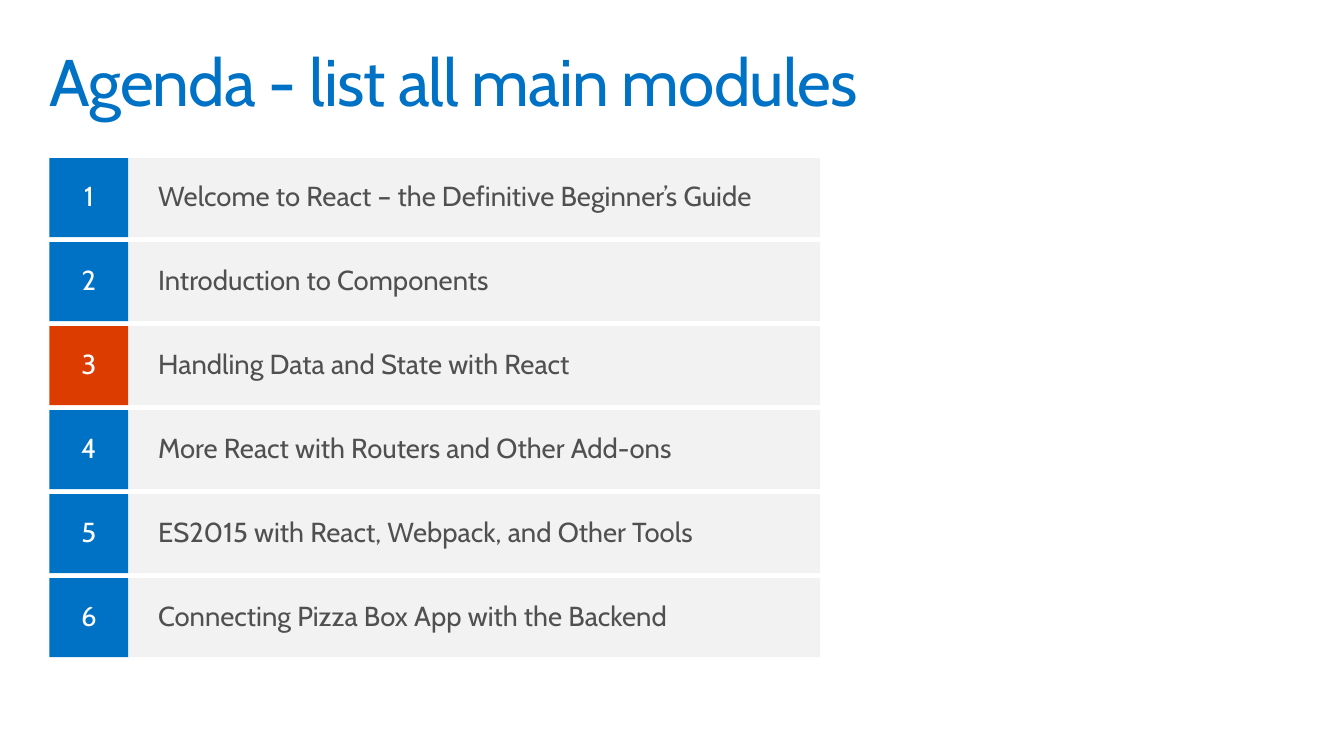
from dataclasses import dataclass

from pptx import Presentation
from pptx import util as u
from pptx.dml.color import RGBColor
from pptx.enum import shapes, text


@dataclass(frozen=True)
class Theme:
    font: str = "Cabin"
    title_size: int = 48
    row_size: int = 20
    blue: str = "0072C6"
    orange: str = "DC3C00"
    band: str = "F2F2F2"
    white: str = "FFFFFF"
    gray: str = "505050"


THEME = Theme()
TITLE = "Agenda - list all main modules"
MODULES = [
    "Welcome to React – the Definitive Beginner’s Guide",
    "Introduction to Components",
    "Handling Data and State with React",
    "More React with Routers and Other Add-ons",
    "ES2015 with React, Webpack, and Other Tools",
    "Connecting Pizza Box App with the Backend",
]
CURRENT_MODULE = 3
ROW_HEIGHT = 0.8
ROW_GAP = 0.05


def write(shape, words, size, color, align, anchor, inset_x, inset_y):
    """Fill a shape with one line of text and return its run."""
    frame = shape.text_frame
    frame.text = words
    frame.word_wrap = True
    frame.vertical_anchor = anchor
    frame.margin_left = frame.margin_right = u.Inches(inset_x)
    frame.margin_top = frame.margin_bottom = u.Inches(inset_y)
    para = frame.paragraphs[0]
    para.alignment = align
    para.line_spacing = 0.9
    span = para.runs[0]
    span.font.name = THEME.font
    span.font.size = u.Pt(size)
    span.font.color.rgb = RGBColor.from_string(color)
    return span


def add_title(page, left, top, width, height):
    box = page.shapes.add_textbox(*map(u.Inches, (left, top, width, height)))
    span = write(box, TITLE, THEME.title_size, THEME.blue,
                 text.PP_ALIGN.LEFT, text.MSO_ANCHOR.TOP, 0.1, 0.1)
    span.font._element.set("spc", "-70")


def add_block(page, left, top, width, height, fill):
    block = page.shapes.add_shape(
        shapes.MSO_SHAPE.RECTANGLE, *map(u.Inches, (left, top, width, height)))
    block.shadow.inherit = False
    block.fill.solid()
    block.fill.fore_color.rgb = RGBColor.from_string(fill)
    block.line.fill.background()
    return block


def add_agenda(page, left, top, width):
    """Stack one row per module: a square number and a band with its name."""
    for index, module in enumerate(MODULES):
        number = index + 1
        row_top = top + index * (ROW_HEIGHT + ROW_GAP)
        fill = THEME.orange if number == CURRENT_MODULE else THEME.blue
        square = add_block(page, left, row_top, ROW_HEIGHT, ROW_HEIGHT, fill)
        write(square, str(number), THEME.row_size, THEME.white,
              text.PP_ALIGN.CENTER, text.MSO_ANCHOR.MIDDLE, 0.2, 0.16)
        band = add_block(page, left + ROW_HEIGHT, row_top,
                         width - ROW_HEIGHT, ROW_HEIGHT, THEME.band)
        write(band, module, THEME.row_size, THEME.gray,
              text.PP_ALIGN.LEFT, text.MSO_ANCHOR.MIDDLE, 0.3, 0.1)


def main():
    deck = Presentation()
    deck.slide_width = u.Inches(13.6)
    deck.slide_height = u.Inches(7.65)
    page = deck.slides.add_slide(deck.slide_layouts[6])
    add_title(page, 0.4, 0.4, 12.8, 1)
    add_agenda(page, 0.5, 1.6, 7.8)
    deck.save("out.pptx")


if __name__ == "__main__":
    main()
